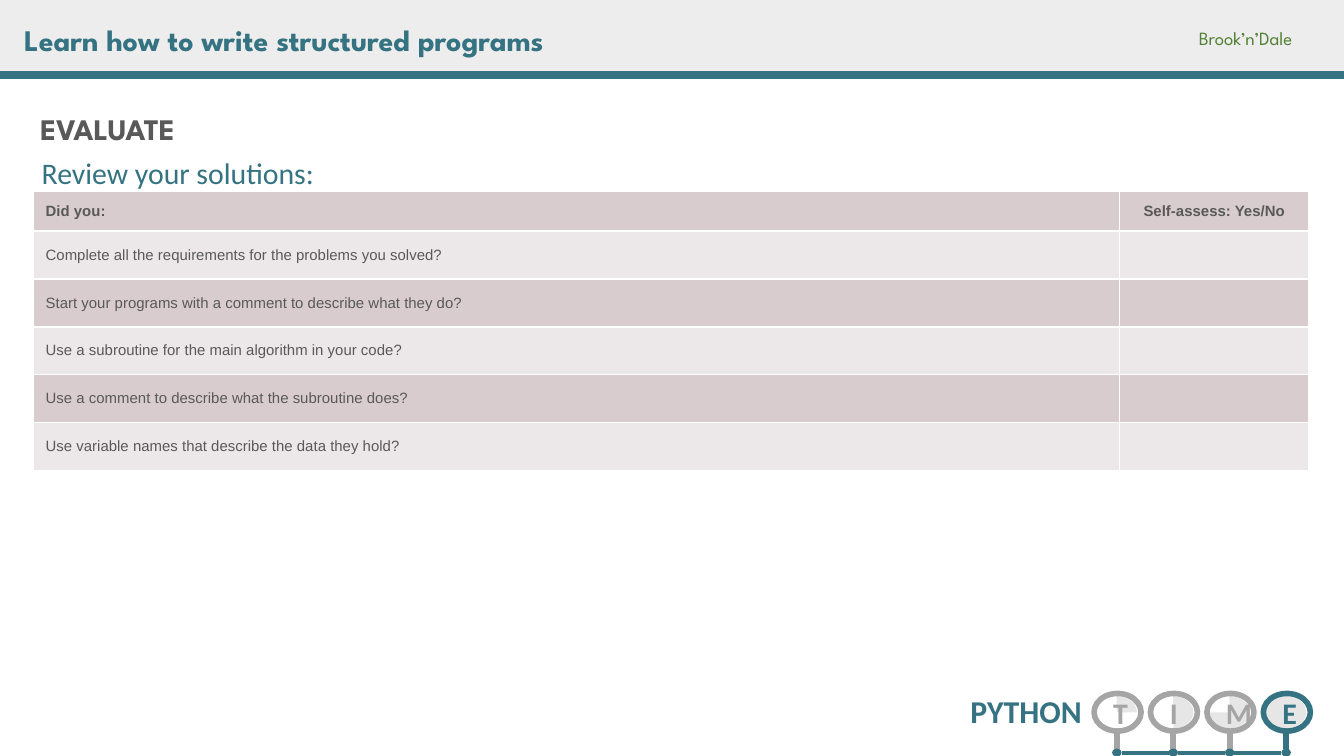
from dataclasses import dataclass

from lxml import etree
from pptx import Presentation
from pptx.dml.color import RGBColor
from pptx.enum.shapes import MSO_CONNECTOR, MSO_SHAPE
from pptx.enum.text import MSO_ANCHOR, MSO_AUTO_SIZE, PP_ALIGN
from pptx.oxml.ns import qn
from pptx.util import Inches, Pt


@dataclass(frozen=True)
class Theme:
    teal: str = "357382"
    green: str = "538135"
    dark: str = "595959"
    gray: str = "A5A5A5"
    pale: str = "E7E6E6"
    banner: str = "EDEDED"
    white: str = "FFFFFF"
    bands: tuple = ("D8CCCF", "ECE7E9")
    display: str = "League Spartan"
    body: str = "Calibri"
    table: str = "Arial"
    heading_size: float = 16
    mark_size: float = 17
    credit_size: float = 10
    table_size: float = 8


THEME = Theme()
SLIDE_WIDTH = 10
SLIDE_HEIGHT = SLIDE_WIDTH * 9 / 16
QUESTIONS = [
    "Complete all the requirements for the problems you solved?",
    "Start your programs with a comment to describe what they do?",
    "Use a subroutine for the main algorithm in your code?",
    "Use a comment to describe what the subroutine does?",
    "Use variable names that describe the data they hold?",
]


def color(value):
    return RGBColor.from_string(value)


def write(frame, text, size, font, ink, bold=False, align=PP_ALIGN.LEFT, anchor=MSO_ANCHOR.TOP):
    frame.word_wrap = True
    frame.auto_size = MSO_AUTO_SIZE.NONE
    frame.vertical_anchor = anchor
    frame.margin_left = frame.margin_right = Inches(0.09)
    frame.margin_top = frame.margin_bottom = Inches(0.04)
    frame.text = text
    style(frame.paragraphs[0], size, font, ink, bold, align)


def style(paragraph, size, font, ink, bold, align):
    paragraph.alignment = align
    paragraph.font.size = Pt(size)
    paragraph.font.name = font
    paragraph.font.bold = bold
    paragraph.font.color.rgb = color(ink)


def add_text(slide, box, *args, **options):
    shape = slide.shapes.add_textbox(*map(Inches, box))
    write(shape.text_frame, *args, **options)
    return shape


def add_shape(slide, kind, box, fill=None, line=None, width=3):
    shape = slide.shapes.add_shape(kind, *map(Inches, box))
    shape.shadow.inherit = False
    if fill:
        shape.fill.solid()
        shape.fill.fore_color.rgb = color(fill)
    else:
        shape.fill.background()
    if line:
        shape.line.color.rgb = color(line)
        shape.line.width = Pt(width)
    else:
        shape.line.fill.background()
    return shape


def add_line(slide, x1, y1, x2, y2, ink, width):
    line = slide.shapes.add_connector(MSO_CONNECTOR.STRAIGHT, *map(Inches, (x1, y1, x2, y2)))
    line.line.color.rgb = color(ink)
    line.line.width = Pt(width)
    etree.SubElement(line.element.spPr, qn("a:effectLst"))


def add_header(slide, left, top, width, height):
    add_shape(slide, MSO_SHAPE.RECTANGLE, (left, top, width, height), THEME.banner)
    add_line(slide, left, top + height, left + width, top + height, THEME.teal, 4.5)
    title = slide.shapes.title
    slide.shapes.element.append(title.element)  # bring the title in front of the banner
    title.left, title.top = Inches(left + 0.09), Inches(top + 0.12)
    title.width, title.height = Inches(4.56), Inches(0.3)
    write(title.text_frame, "Learn how to write structured programs",
          THEME.heading_size, THEME.display, THEME.teal, bold=True)
    add_text(slide, (left + width - 1.17, top + 0.16, 1.13, 0.21), "Brook’n’Dale",
             THEME.credit_size, THEME.display, THEME.green)


def add_section_heading(slide, left, top, width):
    add_text(slide, (left, top, 1.29, 0.3), "EVALUATE",
             THEME.heading_size, THEME.display, THEME.dark, bold=True)
    prompt = add_text(slide, (left + 0.01, top + 0.36, width, 0.26), "Review your solutions:",
                      THEME.heading_size, THEME.body, THEME.teal)
    prompt.text_frame.paragraphs[0].line_spacing = 0.9


def set_borders(cell):
    properties = cell._tc.get_or_add_tcPr()
    for index, side in enumerate(("a:lnL", "a:lnR", "a:lnT", "a:lnB")):
        border = etree.Element(qn(side), w=str(Pt(1)))
        fill = etree.SubElement(border, qn("a:solidFill"))
        etree.SubElement(fill, qn("a:srgbClr"), val=THEME.white)
        properties.insert(index, border)


def add_checklist(slide, left, top, widths, header_height, body_height):
    rows = [("Did you:", "Self-assess: Yes/No")] + [(question, "") for question in QUESTIONS]
    row_height = body_height / len(QUESTIONS)
    box = (left, top, sum(widths), header_height + body_height)
    table = slide.shapes.add_table(len(rows), len(widths), *map(Inches, box)).table
    for column, width in zip(table.columns, widths):
        column.width = Inches(width)
    for r, texts in enumerate(rows):
        table.rows[r].height = Inches(row_height if r else header_height)
        for c, text in enumerate(texts):
            cell = table.cell(r, c)
            cell.text = text
            cell.vertical_anchor = MSO_ANCHOR.MIDDLE
            cell.margin_left = cell.margin_right = Inches(0.09)
            cell.margin_top = cell.margin_bottom = Inches(0.04)
            cell.fill.solid()
            cell.fill.fore_color.rgb = color(THEME.bands[r % 2])
            set_borders(cell)
            style(cell.text_frame.paragraphs[0], THEME.table_size, THEME.table, THEME.dark,
                  r == 0, PP_ALIGN.CENTER if c else PP_ALIGN.LEFT)


def add_progress_tracker(slide, left, top):
    # Each stage fills one more quarter of its disc; the last is the current one
    step, dot = 0.42, 0.07
    track = top + 0.44
    first = left + 1.67
    stages = [("T", 0.1), ("I", 89.2), ("M", 179.2), ("E", None)]
    for index, (letter, end_angle) in enumerate(stages):
        x = first + index * step
        center = x + 0.17
        ink = THEME.gray if end_angle else THEME.teal
        kind = MSO_SHAPE.PIE if end_angle else MSO_SHAPE.OVAL
        disc = add_shape(slide, kind, (x + 0.02, top + 0.02, 0.3, 0.24), THEME.pale)
        if end_angle:
            # Angles are stored in 60000ths of a degree
            disc.adjustments[0] = 269.1 * 0.6
            disc.adjustments[1] = end_angle * 0.6
        ring = add_shape(slide, MSO_SHAPE.OVAL, (x, top, 0.35, 0.28), line=ink)
        write(ring.text_frame, letter, THEME.heading_size, THEME.body, ink, bold=True,
              align=PP_ALIGN.CENTER, anchor=MSO_ANCHOR.MIDDLE)
        add_line(slide, center, top + 0.28, center, top + 0.41, ink, 3)
        add_shape(slide, MSO_SHAPE.OVAL, (center - dot / 2, top + 0.41, dot, 0.06), THEME.teal)
        if index:
            add_line(slide, center - step + dot / 2, track, center - dot / 2, track,
                     THEME.teal, 2.25)
    add_text(slide, (left, top - 0.02, 1.67, 0.33), "PYTHON", THEME.mark_size, THEME.body,
             THEME.teal, bold=True, align=PP_ALIGN.RIGHT, anchor=MSO_ANCHOR.BOTTOM)


def main():
    presentation = Presentation()
    presentation.slide_width = Inches(SLIDE_WIDTH)
    presentation.slide_height = Inches(SLIDE_HEIGHT)
    slide = presentation.slides.add_slide(presentation.slide_layouts[5])
    add_header(slide, 0, 0, SLIDE_WIDTH, 0.56)
    add_section_heading(slide, 0.21, 0.78, 9.53)
    add_checklist(slide, 0.25, 1.42, (8.08, 1.41), 0.3, 1.78)
    add_progress_tracker(slide, 6.47, 5.16)
    presentation.save("out.pptx")


if __name__ == "__main__":
    main()
